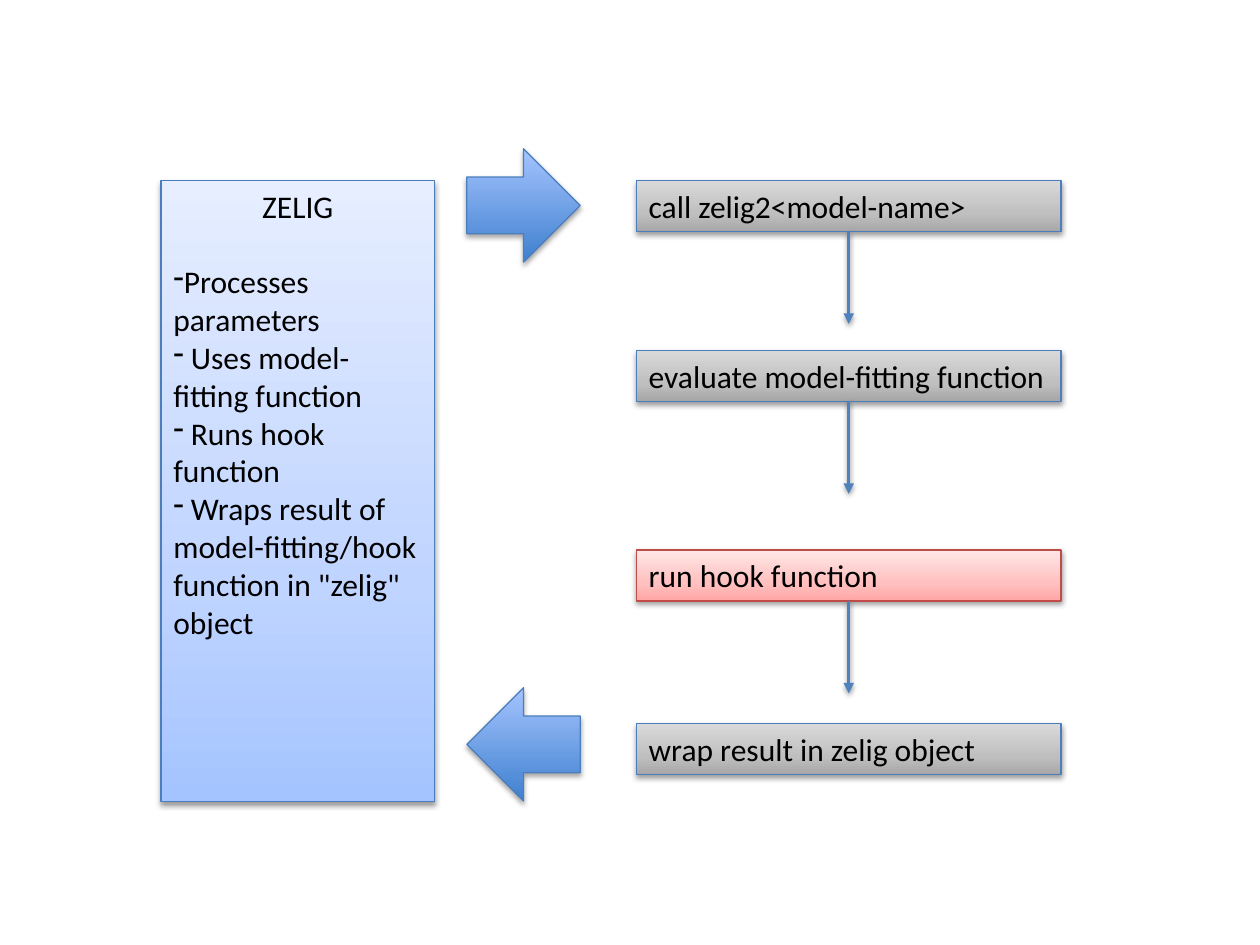
from lxml import etree
from pptx import Presentation
from pptx.dml.color import RGBColor
from pptx.enum import shapes, text
from pptx.oxml import ns
from pptx.util import Pt

THEME = {
    "font": "Calibri", "size": 18, "text": "000000",
    "blue_line": "4B7EBC", "red_line": "BF4C48", "connector": "4F81BD",
    "blue": [(0, "A4C4FF"), (35, "BFD4FF"), (100, "E6EEFF")],
    "grey": [(0, "A6A6A6"), (35, "BFBFBF"), (100, "D9D9D9")],
    "red": [(0, "FFA6A5"), (35, "FFC0BF"), (100, "FFE7E7")],
    "arrow": [(0, "3F80CE"), (100, "A4C4FF")],
}


def add_shadow(item, alpha=38, distance=1.6):
    """Give a shape or connector a soft shadow straight below it."""
    effects = etree.SubElement(item._element.spPr, ns.qn("a:effectLst"))
    shadow = etree.SubElement(effects, ns.qn("a:outerShdw"), blurRad=str(Pt(3.1)),
                              dist=str(Pt(distance)), dir="5400000", rotWithShape="0")
    color = etree.SubElement(shadow, ns.qn("a:srgbClr"), val="000000")
    etree.SubElement(color, ns.qn("a:alpha"), val=str(alpha * 1000))


def add_block(kind, bounds, stops, line, lines=(), shadow=(38, 1.6)):
    """Add a shape with a bottom-to-top gradient and left-aligned text."""
    shape = page.shapes.add_shape(kind, *map(Pt, bounds))
    shape.fill.gradient()
    shape.fill.gradient_angle = 90
    stop_list = shape._element.spPr.find(".//" + ns.qn("a:gsLst"))
    stop_list.clear()
    for position, value in stops:
        stop = etree.SubElement(stop_list, ns.qn("a:gs"), pos=str(position * 1000))
        etree.SubElement(stop, ns.qn("a:srgbClr"), val=value)
    shape.line.color.rgb = RGBColor.from_string(line)
    shape.line.width = Pt(0.75)
    add_shadow(shape, *shadow)
    frame = shape.text_frame
    frame.word_wrap = True
    frame.vertical_anchor = text.MSO_ANCHOR.TOP
    frame.text = "\n".join(lines)
    for para in frame.paragraphs:
        para.alignment = text.PP_ALIGN.LEFT
        para.font.size = Pt(THEME["size"])
        for span in para.runs:
            span.font.name = THEME["font"]
            span.font.size = Pt(THEME["size"])
            span.font.color.rgb = RGBColor.from_string(THEME["text"])
    return shape


deck = Presentation()
deck.slide_width, deck.slide_height = Pt(720), Pt(540)
page = deck.slides.add_slide(deck.slide_layouts[6])
RECTANGLE = shapes.MSO_SHAPE.RECTANGLE

# Overview panel
panel = add_block(RECTANGLE, (92, 103.2, 156.3, 354.7), THEME["blue"], THEME["blue_line"], [
    "ZELIG",
    "Processes parameters",
    " Uses model-fitting function",
    " Runs hook function",
    ' Wraps result of model-fitting/hook function in "zelig" object',
])
title, *duties = panel.text_frame.paragraphs
title.alignment = text.PP_ALIGN.CENTER
title.space_after = Pt(21.6)
for para in duties:
    properties = para._p.get_or_add_pPr()
    properties.set("marL", "0")
    properties.set("indent", "0")
    etree.SubElement(properties, ns.qn("a:buFontTx"))
    etree.SubElement(properties, ns.qn("a:buChar"), char="-")

# Steps, each but the last followed by an arrow
step_left, step_width, step_height, arrow_length = 363.6, 242.8, 29.1, 52.8
steps = [
    (103.2, "call zelig2<model-name>", "grey", "blue_line"),
    (200.3, "evaluate model-fitting function", "grey", "blue_line"),
    (314.3, "run hook function", "red", "red_line"),
    (413.5, "wrap result in zelig object", "grey", "blue_line"),
]
for top, label, fill, line in steps:
    box = add_block(RECTANGLE, (step_left, top, step_width, step_height),
                    THEME[fill], THEME[line], [label])
    box.text_frame.auto_size = text.MSO_AUTO_SIZE.SHAPE_TO_FIT_TEXT
    if label == steps[-1][1]:
        break
    center, start = step_left + step_width / 2, top + step_height
    connector = page.shapes.add_connector(
        shapes.MSO_CONNECTOR.STRAIGHT,
        Pt(center), Pt(start), Pt(center), Pt(start + arrow_length))
    connector.line.color.rgb = RGBColor.from_string(THEME["connector"])
    connector.line.width = Pt(2)
    etree.SubElement(connector.line._get_or_add_ln(), ns.qn("a:tailEnd"), type="triangle")
    add_shadow(connector)

# Block arrows between the panel and the steps
for kind, top in ((shapes.MSO_SHAPE.RIGHT_ARROW, 85), (shapes.MSO_SHAPE.LEFT_ARROW, 393)):
    add_block(kind, (266.8, top, 64.8, 64.8), THEME["arrow"], THEME["blue_line"],
              shadow=(35, 1.8))

deck.save("out.pptx")
